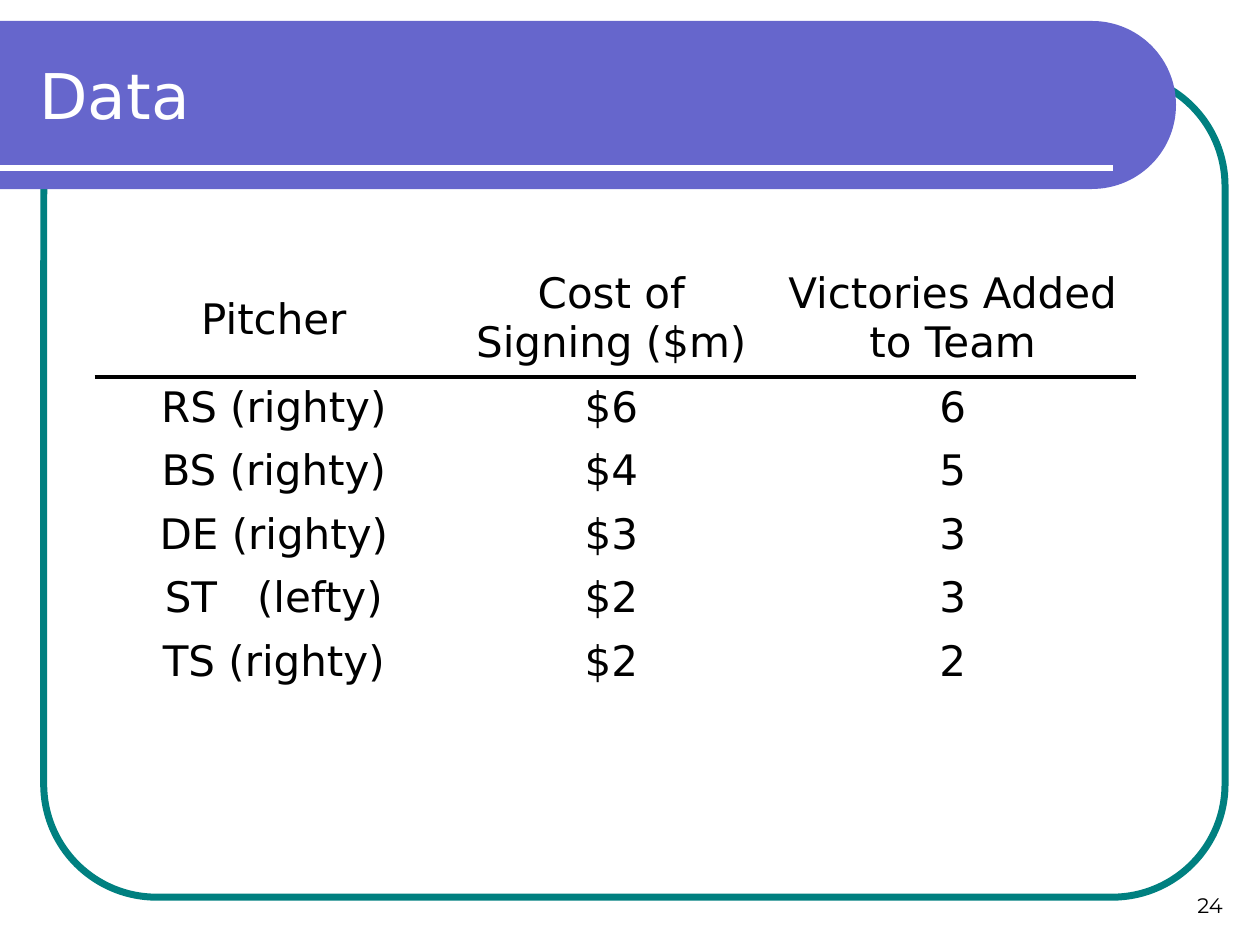
from math import cos, pi, sin

from lxml.etree import SubElement
from pptx import Presentation
from pptx.dml.color import RGBColor
from pptx.enum.shapes import MSO_CONNECTOR as Connector, MSO_SHAPE as Preset
from pptx.enum.text import MSO_ANCHOR as Anchor, PP_ALIGN as Align
from pptx.oxml.ns import qn
from pptx.util import Pt

TITLE = "Data"
PAGE_NUMBER = "24"
ROWS = [
    ("Pitcher", "Cost of Signing ($m)", "Victories Added to Team"),
    ("RS (righty)", "$6", "6"),
    ("BS (righty)", "$4", "5"),
    ("DE (righty)", "$3", "3"),
    ("ST   (lefty)", "$2", "3"),
    ("TS (righty)", "$2", "2"),
]
COLORS = {"frame": "008080", "banner": "6666CC", "light": "FFFFFF", "dark": "000000"}
TITLE_FORMAT = {"name": "DejaVu Sans", "size": Pt(36), "color": "light"}
TABLE_FORMAT = {"name": "DejaVu Sans", "size": Pt(24), "color": "dark"}
NUMBER_FORMAT = {"name": "Montserrat", "size": Pt(12), "color": "dark"}
COLUMN_WIDTHS = (205, 180.7, 209.5)
HEADER_HEIGHT, ROW_HEIGHT = 64.8, 36.3
RULE_WIDTH = 2.25
RULED_SIDES = {0: "lnB", 1: "lnT"}


def color(name):
    """Return the named colour."""
    return RGBColor.from_string(COLORS[name])


def box(left, top, width, height):
    """Return a position and size in points."""
    return Pt(left), Pt(top), Pt(width), Pt(height)


def write(frame, text, format_values, align):
    """Put one formatted paragraph into a text frame."""
    paragraph = frame.paragraphs[0]
    paragraph.alignment = align
    run = paragraph.add_run()
    run.text = text
    for name, value in format_values.items():
        if name == "color":
            run.font.color.rgb = color(value)
        else:
            setattr(run.font, name, value)


def add_text(slide, place, text, format_values, align, anchor):
    """Add a wrapped text box."""
    frame = slide.shapes.add_textbox(*box(*place)).text_frame
    frame.word_wrap = True
    frame.vertical_anchor = anchor
    write(frame, text, format_values, align)


def add_frame(slide):
    """Add the rounded outline behind the content."""
    shape = slide.shapes.add_shape(Preset.ROUNDED_RECTANGLE, *box(25, 41.8, 675, 470.9))
    shape.adjustments[0] = 0.137
    shape.shadow.inherit = False
    shape.fill.background()
    shape.line.color.rgb = color("frame")
    shape.line.width = Pt(4)


def add_banner(slide, top=12, straight=624, radius=48, steps=60):
    """Add the title banner with its half-round right end."""
    angles = [pi * step / steps - pi / 2 for step in range(steps + 1)]
    arc = [(straight + radius * cos(a), top + radius + radius * sin(a)) for a in angles]
    builder = slide.shapes.build_freeform(0, Pt(top))
    builder.add_line_segments([(Pt(x), Pt(y)) for x, y in arc + [(0, top + 2 * radius)]])
    shape = builder.convert_to_shape()
    shape.shadow.inherit = False
    shape.fill.solid()
    shape.fill.fore_color.rgb = color("banner")
    shape.line.fill.background()


def add_underline(slide, y=96, end=636):
    """Add the light rule under the title."""
    line = slide.shapes.add_connector(Connector.STRAIGHT, 0, Pt(y), Pt(end), Pt(y))
    line.line.color.rgb = color("light")
    line.line.width = Pt(3)
    SubElement(line._element.spPr, qn("a:effectLst"))


def set_borders(cell, ruled_side):
    """Draw a dark border on the ruled side and clear the other sides."""
    properties = cell._tc.get_or_add_tcPr()
    for side in ("lnL", "lnR", "lnT", "lnB"):
        border = SubElement(properties, qn(f"a:{side}"), w=str(Pt(RULE_WIDTH)))
        if side == ruled_side:
            fill = SubElement(border, qn("a:solidFill"))
            SubElement(fill, qn("a:srgbClr"), val=COLORS["dark"])
        else:
            SubElement(border, qn("a:noFill"))


def add_pitcher_table(slide):
    """Add the pitcher table with a rule below its header."""
    heights = [HEADER_HEIGHT] + [ROW_HEIGHT] * (len(ROWS) - 1)
    place = box(54, 150.5, sum(COLUMN_WIDTHS), sum(heights))
    table = slide.shapes.add_table(len(ROWS), len(COLUMN_WIDTHS), *place).table
    table.first_row = table.horz_banding = False
    for column, width in zip(table.columns, COLUMN_WIDTHS):
        column.width = Pt(width)
    for row, height in zip(table.rows, heights):
        row.height = Pt(height)
    for r, texts in enumerate(ROWS):
        for c, text in enumerate(texts):
            cell = table.cell(r, c)
            write(cell.text_frame, text, TABLE_FORMAT, Align.CENTER)
            set_borders(cell, RULED_SIDES.get(r))
            cell.fill.background()
    table.cell(0, 0).vertical_anchor = Anchor.MIDDLE


presentation = Presentation()
presentation.slide_width, presentation.slide_height = Pt(720), Pt(540)
slide = presentation.slides.add_slide(presentation.slide_layouts[6])
add_frame(slide)
add_banner(slide)
add_underline(slide)
add_text(slide, (537.8, 491.8, 168, 36), PAGE_NUMBER, NUMBER_FORMAT, Align.RIGHT, Anchor.BOTTOM)
add_text(slide, (15.5, 18, 631.4, 72), TITLE, TITLE_FORMAT, Align.LEFT, Anchor.MIDDLE)
add_pitcher_table(slide)
presentation.save("out.pptx")
